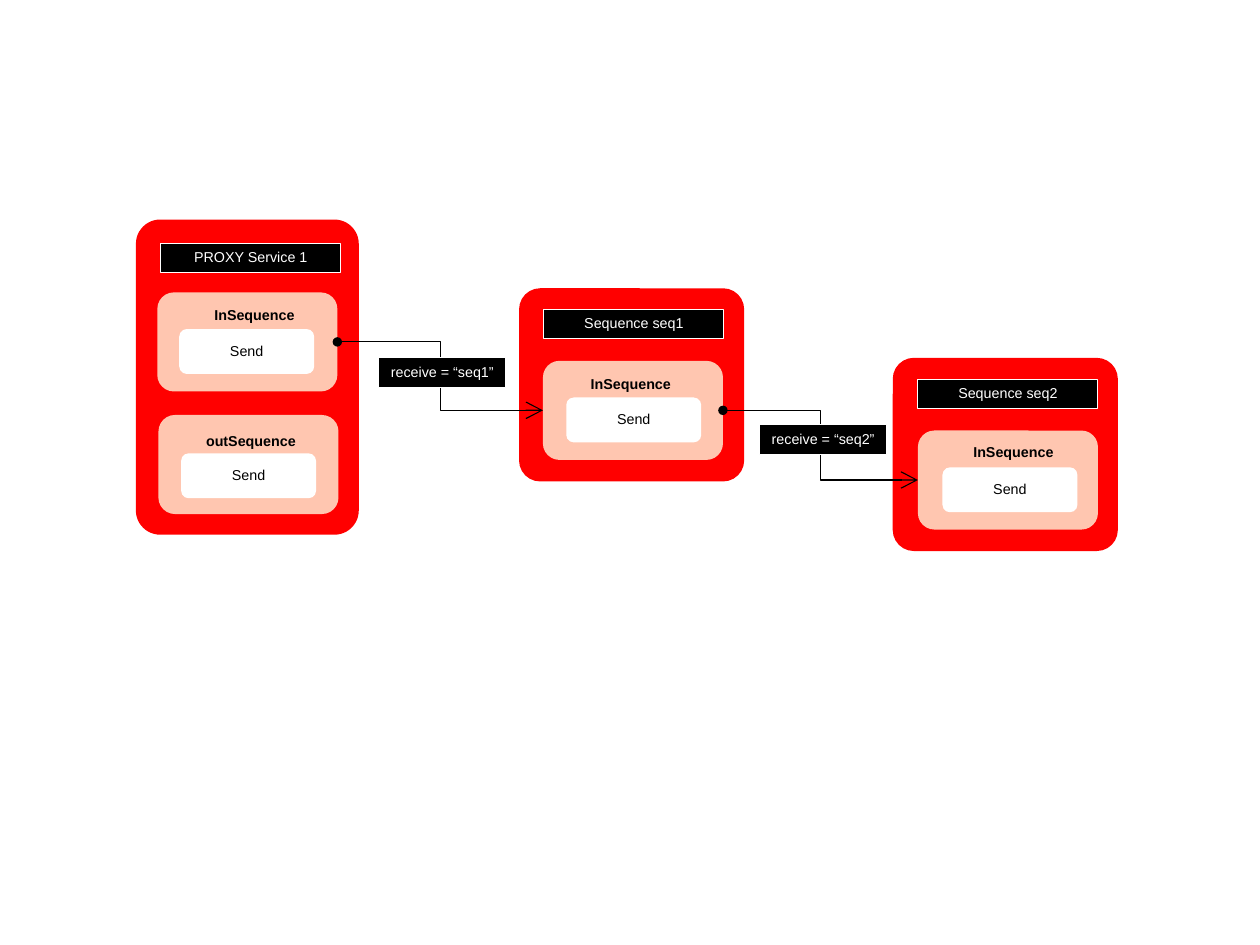
from dataclasses import dataclass

from lxml import etree
from pptx import Presentation
from pptx.dml.color import RGBColor
from pptx.enum.shapes import MSO_CONNECTOR, MSO_SHAPE
from pptx.enum.text import MSO_ANCHOR, PP_ALIGN
from pptx.oxml.ns import qn
from pptx.shapes.autoshape import Shape
from pptx.shapes.shapetree import SlideShapes
from pptx.util import Pt

RECT = MSO_SHAPE.RECTANGLE
ROUND = MSO_SHAPE.ROUNDED_RECTANGLE
ELBOW = MSO_CONNECTOR.ELBOW
MIDDLE = MSO_ANCHOR.MIDDLE
CENTER = PP_ALIGN.CENTER
LEFT_SIDE, RIGHT_SIDE = 1, 3


@dataclass(frozen=True)
class Theme:
    red: str = "FF0000"
    peach: str = "FFC6B0"
    white: str = "FFFFFF"
    black: str = "000000"
    font: str = "Arial"
    size: float = 9
    line: float = 0.75
    spacing: float = 0.93
    corner: float = 0.109


@dataclass(frozen=True)
class Box:
    left: float
    top: float
    width: float
    height: float


@dataclass(frozen=True)
class Step:
    """A peach panel; label and send places are offsets from its corner."""
    name: str
    left: float
    top: float
    label: tuple[float, float]
    send: tuple[float, float]


@dataclass(frozen=True)
class Card:
    title: str
    box: Box
    head: tuple[float, float]
    steps: tuple[Step, ...]


@dataclass(frozen=True)
class Link:
    """A labelled arrow between the first steps of two cards."""
    text: str
    start: int
    end: int
    left: float
    top: float


THEME = Theme()
PAGE_SIZE = (793.7, 595.28)
HEAD_SIZE = (113.4, 18.2)
STEP_SIZE = (113.4, 62.4)
NAME_SIZE = (80, 18.7)
SEND_SIZE = (85, 28.3)
LINK_SIZE = (80, 18.7)

CARDS = (
    Card("PROXY Service 1", Box(85.6, 138.3, 140.4, 198.5), (101.2, 153.4), (
        Step("InSequence", 99.1, 184.2, (61.2, 5.1), (13.8, 23.1)),
        Step("outSequence", 99.8, 261.4, (58.3, 7.2), (14.3, 24.2)))),
    Card("Sequence seq1", Box(327, 181.6, 141.8, 121.7), (342.6, 195.1), (
        Step("InSequence", 342, 227.3, (55.4, 5.9), (14.7, 23.1)),)),
    Card("Sequence seq2", Box(562.4, 225.4, 141.8, 121.7), (578.2, 239), (
        Step("InSequence", 578.2, 271.2, (60.2, 4.9), (15.5, 23.2)),)),
)
LINKS = (
    Link("receive = “seq1”", 0, 1, 238.6, 225.4),
    Link("receive = “seq2”", 1, 2, 478.5, 267.5),
)


def color(code: str) -> RGBColor:
    return RGBColor.from_string(code)


def write(shape: Shape, text: str, *, ink: str = THEME.black,
          bold: bool = False, wrap: bool = True,
          inset: tuple[float, float] = (6.5, 4.3)) -> None:
    frame = shape.text_frame
    frame.word_wrap = wrap
    frame.vertical_anchor = MIDDLE
    frame.margin_left = frame.margin_right = Pt(inset[0])
    frame.margin_top = frame.margin_bottom = Pt(inset[1])
    para = frame.paragraphs[0]
    para.text = text
    para.alignment = CENTER
    para.line_spacing = THEME.spacing
    font = para.runs[0].font
    font.name, font.size, font.bold = THEME.font, Pt(THEME.size), bold
    font.color.rgb = color(ink)


def draw(shapes: SlideShapes, kind: MSO_SHAPE, box: Box, fill: str,
         edge: str | None = None) -> Shape:
    shape = shapes.add_shape(kind, Pt(box.left), Pt(box.top),
                             Pt(box.width), Pt(box.height))
    shape.shadow.inherit = False
    shape.fill.solid()
    shape.fill.fore_color.rgb = color(fill)
    if edge:
        shape.line.color.rgb = color(edge)
        shape.line.width = Pt(THEME.line)
    else:
        shape.line.fill.background()
    return shape


def add_tag(shapes: SlideShapes, text: str, box: Box) -> None:
    """Draw a black caption with a white edge."""
    tag = draw(shapes, RECT, box, THEME.black, THEME.white)
    write(tag, text, ink=THEME.white)


def add_step(shapes: SlideShapes, step: Step) -> Shape:
    panel = draw(shapes, ROUND, Box(step.left, step.top, *STEP_SIZE), THEME.peach)
    mid, drop = step.label
    width, height = NAME_SIZE
    name = shapes.add_textbox(Pt(step.left + mid - width / 2),
                              Pt(step.top + drop), Pt(width), Pt(height))
    write(name, step.name, bold=True)
    right, down = step.send
    send = draw(shapes, ROUND,
                Box(step.left + right, step.top + down, *SEND_SIZE), THEME.white)
    write(send, "Send", inset=(2.9, 2.9))
    return panel


def add_card(shapes: SlideShapes, card: Card) -> Shape:
    """Draw a card and return the panel of its first step."""
    back = draw(shapes, ROUND, card.box, THEME.red)
    back.adjustments[0] = THEME.corner
    add_tag(shapes, card.title, Box(*card.head, *HEAD_SIZE))
    return [add_step(shapes, step) for step in card.steps][0]


def add_link(shapes: SlideShapes, link: Link, panels: list[Shape]) -> None:
    start, end = panels[link.start], panels[link.end]
    arrow = shapes.add_connector(ELBOW, start.left + start.width, start.top,
                                 end.left, end.top)
    arrow.begin_connect(start, RIGHT_SIDE)
    arrow.end_connect(end, LEFT_SIDE)
    arrow.line.color.rgb = color(THEME.black)
    arrow.line.width = Pt(THEME.line)
    edge = arrow.line._get_or_add_ln()
    etree.SubElement(edge, qn("a:headEnd"), type="oval")
    etree.SubElement(edge, qn("a:tailEnd"), type="arrow", w="lg", len="lg")
    etree.SubElement(arrow._element.spPr, qn("a:effectLst"))
    add_tag(shapes, link.text, Box(link.left, link.top, *LINK_SIZE))


def main() -> None:
    deck = Presentation()
    deck.slide_width, deck.slide_height = map(Pt, PAGE_SIZE)
    shapes = deck.slides.add_slide(deck.slide_layouts[6]).shapes
    panels = [add_card(shapes, card) for card in CARDS]
    for link in LINKS:
        add_link(shapes, link, panels)
    deck.save("out.pptx")


if __name__ == "__main__":
    main()
